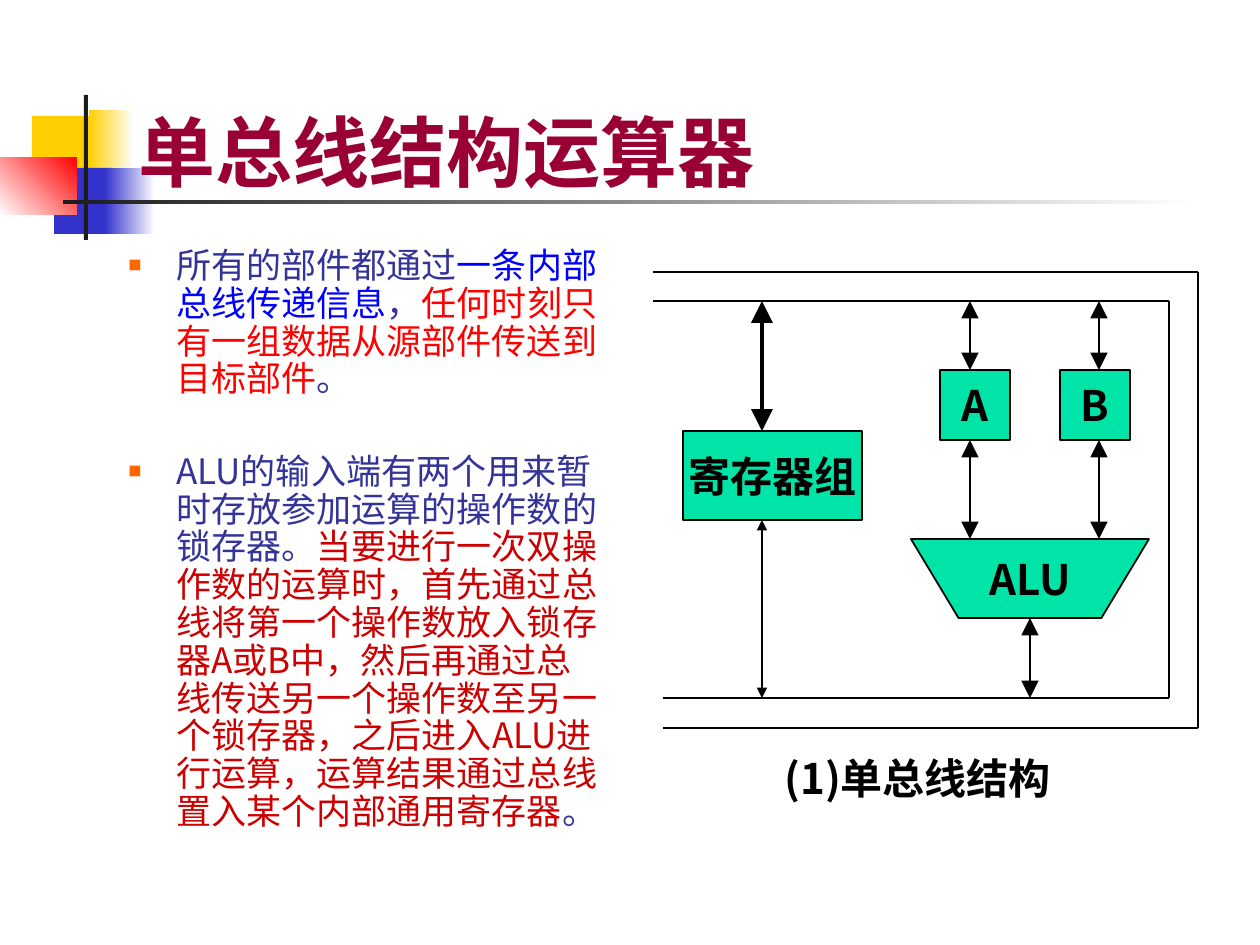
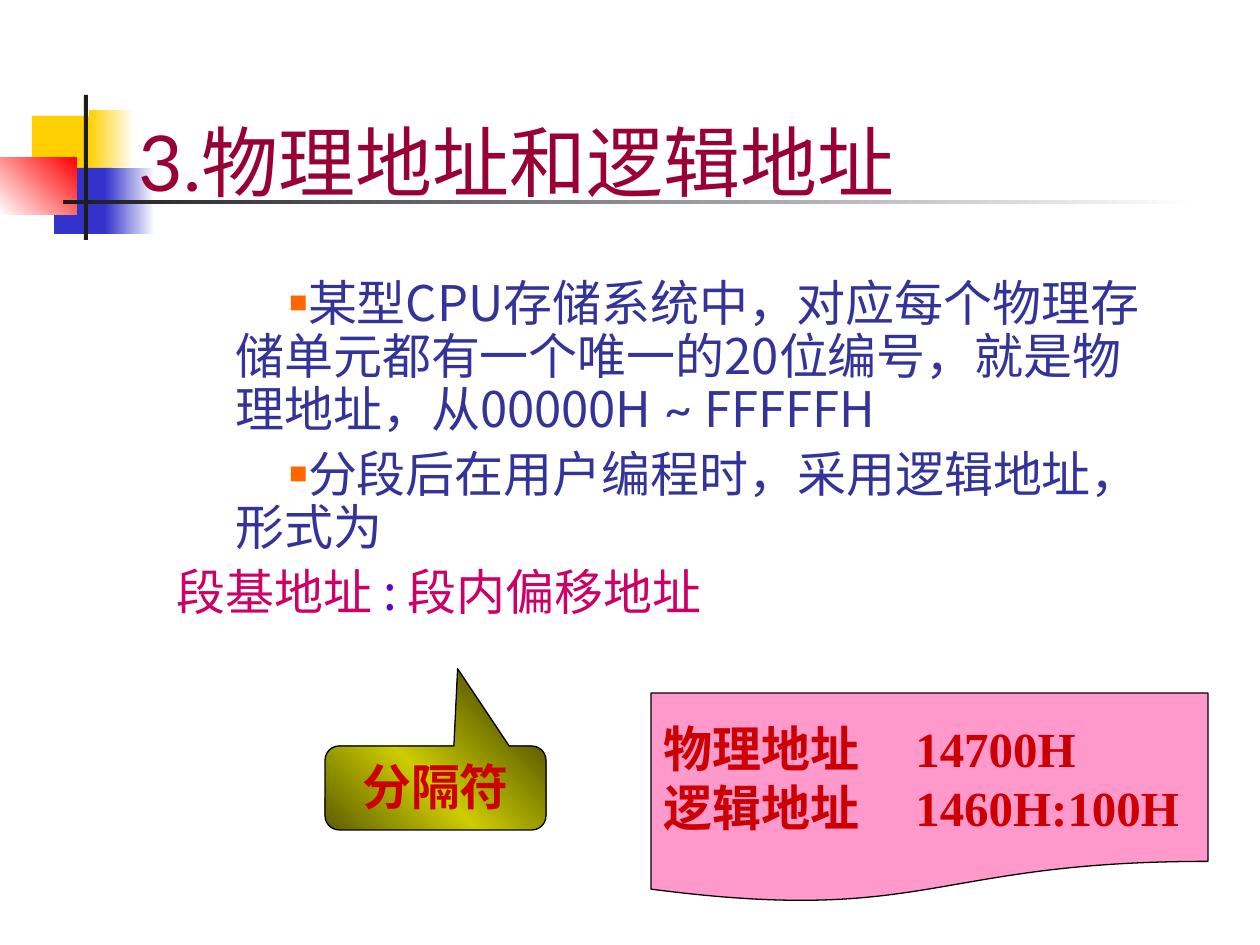
from itertools import pairwise

from pptx import Presentation
from pptx.dml.color import RGBColor
from pptx.enum.shapes import MSO_CONNECTOR, MSO_SHAPE
from pptx.enum.text import MSO_ANCHOR, PP_ALIGN
from pptx.oxml import parse_xml
from pptx.oxml.ns import nsdecls, qn
from pptx.util import Pt

PX = 914400 / 126

BLACK = RGBColor(0x00, 0x00, 0x00)
WHITE = RGBColor(0xFF, 0xFF, 0xFF)
INK = RGBColor(0x1C, 0x1C, 0x1C)
GOLD = RGBColor(0xFF, 0xCF, 0x01)
INDIGO = RGBColor(0x33, 0x33, 0xCC)
RED = RGBColor(0xFF, 0x00, 0x00)
WINE = RGBColor(0x99, 0x00, 0x33)
NAVY = RGBColor(0x33, 0x33, 0x99)
BLUE = RGBColor(0x00, 0x00, 0xFF)
CRIMSON = RGBColor(0xCC, 0x00, 0x00)
ORANGE = RGBColor(0xFF, 0x66, 0x00)
MINT = RGBColor(0x00, 0xE4, 0xA8)
ROSE = RGBColor(0xCC, 0x00, 0x66)
PURPLE = RGBColor(0x66, 0x00, 0xCC)
OLIVE = RGBColor(0x5E, 0x5E, 0x00)
LIME = RGBColor(0xCC, 0xCC, 0x00)
PINK = RGBColor(0xFF, 0x99, 0xCC)

SANS = "Noto Sans CJK SC"
LATO = "Lato"
SERIF = "Times New Roman"


def emu(*sizes):
    return [round(size * PX) for size in sizes]


def node(xml):
    head, rest = xml.split(" ", 1)
    return parse_xml(f"{head} {nsdecls('a')} {rest}")


def blend(shape, colors, angle):
    last = len(colors) - 1
    stops = "".join(
        f'<a:gs pos="{100000 * i // last}"><a:srgbClr val="{color}"/></a:gs>'
        for i, color in enumerate(colors)
    )
    fill = node(
        f'<a:gradFill rotWithShape="1"><a:gsLst>{stops}</a:gsLst>'
        f'<a:lin ang="{angle * 60000}" scaled="0"/></a:gradFill>'
    )
    shape._element.spPr.find(qn("a:prstGeom")).addnext(fill)


def block(slide, kind, spot, fill, angle=0, edge=None):
    shape = slide.shapes.add_shape(kind, *emu(*spot))
    shape.shadow.inherit = False
    if isinstance(fill, list):
        blend(shape, fill, angle)
    else:
        shape.fill.solid()
        shape.fill.fore_color.rgb = fill
    if edge:
        shape.line.color.rgb = BLACK
        shape.line.width = Pt(edge)
    else:
        shape.line.fill.background()
    return shape


def frame(shape, anchor=MSO_ANCHOR.TOP, wrap=True):
    body = shape.text_frame
    body.word_wrap = wrap
    body.vertical_anchor = anchor
    return body


def panel(slide, spot, **style):
    return frame(slide.shapes.add_textbox(*emu(*spot)), **style)


def write(body, *runs, size=24, color=BLACK, face=SANS, bold=False,
          align=PP_ALIGN.LEFT, line=None, before=0, after=0,
          margin=0, indent=0, bullet=False, tab=None):
    para = body.add_paragraph() if body.text else body.paragraphs[0]
    para.alignment = align
    para.line_spacing = line
    para.space_before, para.space_after = Pt(before), Pt(after)
    props = para._p.get_or_add_pPr()
    left, first = emu(margin, indent)
    props.set("marL", str(left))
    props.set("indent", str(first))
    if bullet:
        props.append(node(f'<a:buClr ><a:srgbClr val="{ORANGE}"/></a:buClr>'))
        props.append(node('<a:buSzPct val="38000"/>'))
        props.append(node(f'<a:buFont typeface="{SANS}"/>'))
        props.append(node('<a:buChar char="■"/>'))
    if tab:
        stop = emu(tab)[0]
        props.append(node(f'<a:tabLst ><a:tab pos="{stop}" algn="l"/></a:tabLst>'))
    for text, *look in runs:
        run = para.add_run()
        run.text = text
        font = run.font
        font.size, font.bold = Pt(size), bold
        font.color.rgb = look[0] if look else color
        font.name = look[1] if len(look) > 1 else face
        run._r.get_or_add_rPr().append(node(f'<a:ea typeface="{SANS}"/>'))


def wire(slide, start, end, width=1.0, tip=None):
    link = slide.shapes.add_connector(MSO_CONNECTOR.STRAIGHT, *emu(*start, *end))
    link.line.color.rgb = BLACK
    link.line.width = Pt(width)
    if tip:
        for tag in ("headEnd", "tailEnd"):
            link.line._ln.append(
                node(f'<a:{tag} type="triangle" w="{tip}" len="{tip}"/>'))
    link._element.spPr.append(node("<a:effectLst />"))


def part(slide, kind, spot, label):
    shape = block(slide, kind, spot, MINT, edge=1)
    body = frame(shape, MSO_ANCHOR.MIDDLE, wrap=False)
    write(body, (label,), bold=True, align=PP_ALIGN.CENTER)


def start(deck, title, top, bold=False):
    slide = deck.slides.add_slide(deck.slide_layouts[6])
    for spot, fill, angle in (
        ((32, 116, 60, 66), GOLD, 0),
        ((89, 110, 45, 66), [GOLD, WHITE], 0),
        ((54, 168, 58, 66), INDIGO, 0),
        ((105, 168, 50, 66), [INDIGO, WHITE], 0),
        ((0, 157, 77, 58), [WHITE, RED], 315),
        ((84, 95, 4, 145), INK, 0),
        ((63, 200, 1134, 4), [INK, WHITE], 0),
    ):
        block(slide, MSO_SHAPE.RECTANGLE, spot, fill, angle)
    body = panel(slide, (126, top, 1074, 140), anchor=MSO_ANCHOR.BOTTOM)
    write(body, (title,), size=44, color=WINE, face=LATO, bold=bold)
    return slide


def draw_bus(slide):
    for right, top, bottom in ((1169, 301, 698), (1198, 272, 728)):
        bends = [(653, top), (right, top), (right, bottom), (663, bottom)]
        for here, there in pairwise(bends):
            wire(slide, here, there)

    box = MSO_SHAPE.RECTANGLE
    part(slide, box, (683, 431, 179, 89), "寄存器组")
    part(slide, box, (940, 370, 70, 70), "A")
    part(slide, box, (1060, 370, 70, 70), "B")
    part(slide, MSO_SHAPE.FLOWCHART_MANUAL_OPERATION, (911, 539, 238, 79), "ALU")

    for x in (970, 1099):
        wire(slide, (x, 301), (x, 370), tip="lg")
        wire(slide, (x, 440), (x, 539), tip="lg")
    wire(slide, (1030, 618), (1030, 698), tip="lg")
    wire(slide, (762, 301), (762, 431), width=2.5, tip="lg")
    wire(slide, (762, 520), (762, 698), tip="med")
    write(panel(slide, (772, 746, 357, 63)), ("(1)单总线结构",), bold=True)


def bus_slide(deck):
    slide = start(deck, "单总线结构运算器", 63, bold=True)
    draw_bus(slide)
    body = panel(slide, (116, 242, 495, 661))
    style = dict(size=20, color=NAVY, line=0.9, after=1.2,
                 margin=48, indent=-48, bullet=True)
    write(body, ("所有的部件都通过",), ("一条内部总线传递信息", BLUE), ("，",),
          ("任何时刻只有一组数据从源部件传送到目标部件", RED), ("。",),
          before=3.7, **style)
    write(body, ("ALU的输入端有两个用来暂时存放参加运算的操作数的锁存器。",),
          ("当要进行一次双操作数的运算时，首先通过总线将第一个操作数放入锁存器A或B中，"
           "然后再通过总线传送另一个操作数至另一个锁存器，之后进入ALU进行运算，"
           "运算结果通过总线置入某个内部通用寄存器", CRIMSON), ("。",),
          before=30, **style)


def address_slide(deck):
    slide = start(deck, "3.物理地址和逻辑地址", 73)
    body = panel(slide, (164, 273, 1000, 367))
    style = dict(size=28, color=NAVY, line=0.9, before=5.2, after=1.8)
    point = dict(style, margin=59, indent=54, bullet=True)
    write(body, ("某型CPU存储系统中，对应每个物理存储单元都有一个唯一的20位编号，"
                 "就是物理地址，从00000H",), (" ~ ", NAVY, LATO), ("FFFFFH",), **point)
    write(body, ("分段后在用户编程时，采用逻辑地址，形式为",), **point)
    write(body, ("段基地址 ", ROSE), (": ", PURPLE), ("段内偏移地址", ROSE), **style)

    mark = block(slide, MSO_SHAPE.ROUNDED_RECTANGULAR_CALLOUT, (325, 746, 221, 84),
                 [OLIVE, LIME, OLIVE], angle=315, edge=0.75)
    for i, value in enumerate((0.1, -1.42, 0.17)):
        mark.adjustments[i] = value
    bold = dict(size=28, color=CRIMSON, bold=True)
    write(frame(mark), ("分隔符",), align=PP_ALIGN.CENTER, **bold)

    note = block(slide, MSO_SHAPE.FLOWCHART_DOCUMENT, (651, 693, 557, 210),
                 PINK, edge=0.75)
    body = frame(note, MSO_ANCHOR.MIDDLE)
    for label, value in (("物理地址", "14700H"), ("逻辑地址", "1460H:100H")):
        write(body, (f"{label}\t{value}",), face=SERIF, tab=253, **bold)


def main():
    deck = Presentation()
    deck.slide_width, deck.slide_height = emu(1260, 945)
    bus_slide(deck)
    address_slide(deck)
    deck.save("out.pptx")


if __name__ == "__main__":
    main()
